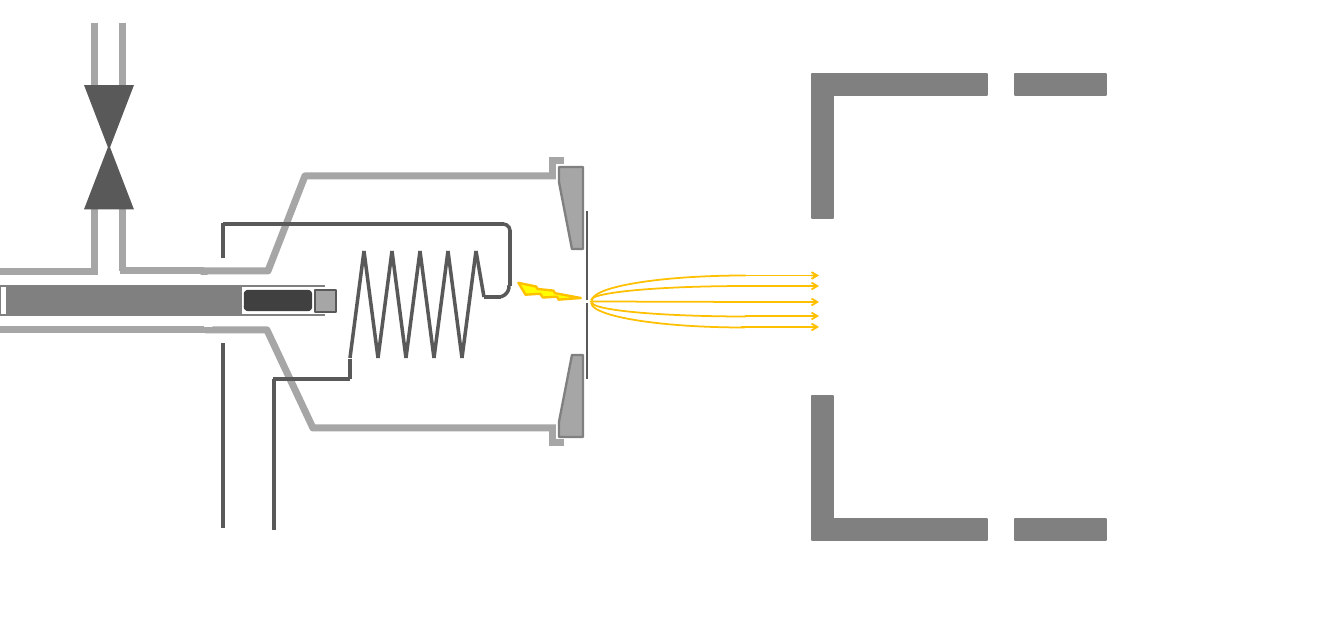
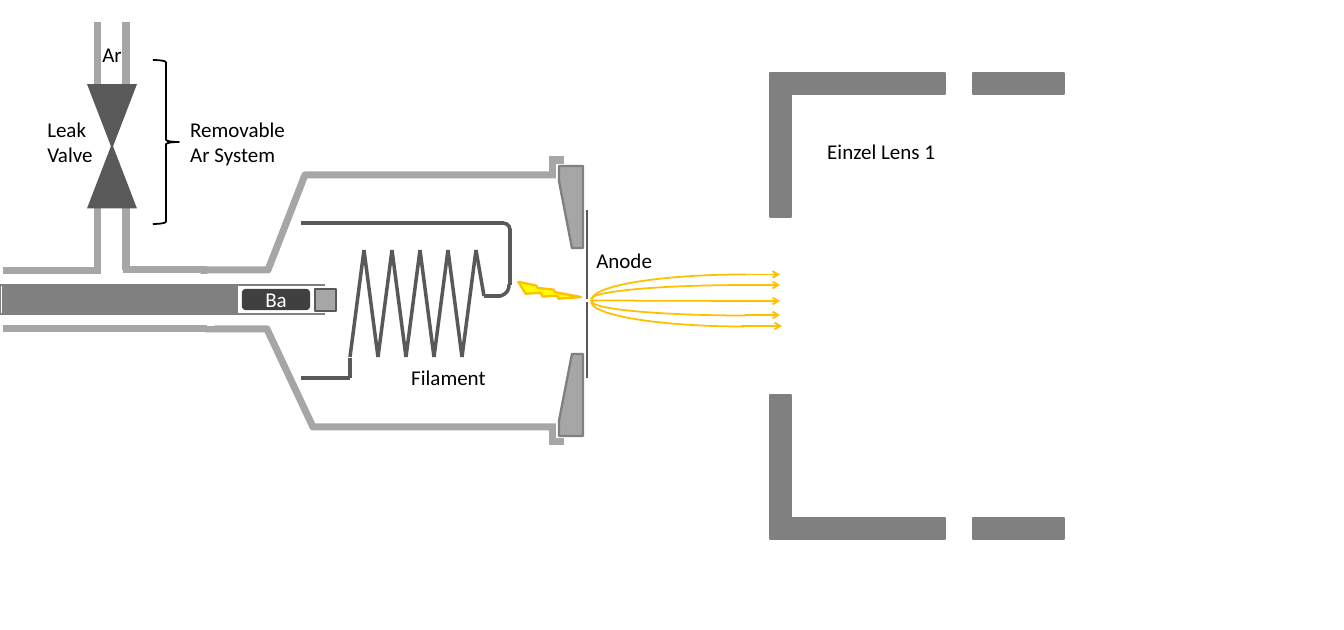
from dataclasses import dataclass

from lxml.etree import SubElement
from pptx import Presentation
from pptx.dml.color import RGBColor
from pptx.enum.shapes import MSO_CONNECTOR, MSO_SHAPE
from pptx.enum.text import MSO_AUTO_SIZE
from pptx.oxml.ns import qn
from pptx.util import Pt

EMU_PER_PIXEL = 914400 / 84


def emu(pixels):
    return round(pixels * EMU_PER_PIXEL)


@dataclass(frozen=True)
class Theme:
    white: str = "FFFFFF"
    black: str = "000000"
    wall: str = "A6A6A6"
    metal: str = "808080"
    wire: str = "595959"
    capsule: str = "404040"
    beam: str = "FFC000"
    spark: str = "FFFF00"
    font: str = "Calibri"
    label_size: float = 18
    wall_width: float = 6
    wire_width: float = 3
    plate_width: float = 2.25
    edge_width: float = 2
    beam_width: float = 1.5


THEME = Theme()
WALL = (THEME.wall, THEME.wall_width)
WIRE = (THEME.wire, THEME.wire_width)
PLATE = (THEME.wire, THEME.plate_width)
GAP = (THEME.white, THEME.plate_width)
BLANK_EDGE = (THEME.white, THEME.edge_width)
METAL_EDGE = (THEME.metal, THEME.edge_width)
BEAM = (THEME.beam, THEME.beam_width)


def color(value):
    return RGBColor.from_string(value)


@dataclass
class Region:
    """Draws parts relative to its left top corner, in pixels."""
    slide: object
    left: float
    top: float

    def style(self, shape, fill, line):
        shape.shadow.inherit = False
        if fill:
            shape.fill.solid()
            shape.fill.fore_color.rgb = color(fill)
        else:
            shape.fill.background()
        if line:
            shape.line.color.rgb = color(line[0])
            shape.line.width = Pt(line[1])
        else:
            shape.line.fill.background()

    def shape(self, kind, box, fill=None, line=None, rotation=0, flip=False):
        left, top, width, height = box
        shape = self.slide.shapes.add_shape(
            kind, emu(self.left + left), emu(self.top + top), emu(width), emu(height))
        self.style(shape, fill, line)
        shape.rotation = rotation
        if flip:
            shape.element.spPr.find(qn("a:xfrm")).set("flipV", "1")
        return shape

    def outline(self, points, fill=None, line=None):
        placed = [(self.left + x, self.top + y) for x, y in points]
        builder = self.slide.shapes.build_freeform(*placed[0], scale=EMU_PER_PIXEL)
        builder.add_line_segments(placed[1:], close=True)
        self.style(builder.convert_to_shape(), fill, line)

    def line(self, start, end, style, arrow=False):
        connector = self.slide.shapes.add_connector(
            MSO_CONNECTOR.STRAIGHT,
            emu(self.left + start[0]), emu(self.top + start[1]),
            emu(self.left + end[0]), emu(self.top + end[1]))
        connector.line.color.rgb = color(style[0])
        connector.line.width = Pt(style[1])
        if arrow:
            SubElement(connector.line._get_or_add_ln(), qn("a:tailEnd"), type="arrow")
        SubElement(connector.element.spPr, qn("a:effectLst"))

    def label(self, lines, box, ink=THEME.black, wrap=False):
        left, top, width, height = box
        text_box = self.slide.shapes.add_textbox(
            emu(self.left + left), emu(self.top + top), emu(width), emu(height))
        frame = text_box.text_frame
        frame.word_wrap = wrap
        frame.auto_size = MSO_AUTO_SIZE.SHAPE_TO_FIT_TEXT
        for index, text in enumerate(lines):
            paragraph = frame.add_paragraph() if index else frame.paragraphs[0]
            run = paragraph.add_run()
            run.text = text
            run.font.name = THEME.font
            run.font.size = Pt(THEME.label_size)
            run.font.color.rgb = color(ink)


def draw_vessel(region, inlet_mask):
    # Wall, opened at the inlet and at the front
    region.outline([(0, 111), (64, 111), (101, 16), (379, 16), (379, 268),
                    (109, 268), (63, 170), (2, 170)], line=WALL)
    region.shape(MSO_SHAPE.RECTANGLE, (inlet_mask, 116, 15, 50), THEME.white, BLANK_EDGE)
    region.shape(MSO_SHAPE.RECTANGLE, (353, 1, 35, 282), THEME.white, BLANK_EDGE)


def draw_filament(region, upper_lead, lower_lead):
    # Leads and rounded end
    region.line((upper_lead, 0), (154, 0), WIRE)
    region.line((160, 62), (160, 6), WIRE)
    region.line((151, 73), (134, 73), WIRE)
    region.line((0, 155), (lower_lead, 155), WIRE)
    region.line((0, 155), (0, 135), WIRE)
    region.shape(MSO_SHAPE.ARC, (146, 0, 14, 13), line=WIRE)
    region.shape(MSO_SHAPE.ARC, (138, 52, 21, 21), line=WIRE, rotation=84.6)
    # Coil
    turns, pitch, crest, trough = 5, 28, 27, 134
    for turn in range(turns):
        bottom = turn * pitch
        peak = bottom + pitch / 2
        region.line((peak, crest), (bottom, trough), WIRE)
        if turn < turns - 1:
            region.line((peak, crest), (bottom + pitch, trough), WIRE)
    region.line((134, 73), (126, crest), WIRE)


def draw_supply(region):
    region.line((51, 306), (51, 155), WIRE)
    region.line((0, 34), (0, -1), WIRE)
    region.line((0, 304), (0, 119), WIRE)


def draw_anode(region):
    height = 284
    region.line((38, 51), (38, 219), PLATE)
    # Electrode and clip, mirrored above and below the axis
    electrode = [(10, 22), (10, 7), (34, 7), (34, 89), (23, 89)]
    for mirror in (lambda y: y, lambda y: height - y):
        region.outline([(x, mirror(y)) for x, y in electrode], THEME.wall, METAL_EDGE)
        region.line((4, mirror(1)), (4, mirror(16)), WALL)
        region.line((15, mirror(1)), (0, mirror(1)), WALL)
    # Aperture
    region.line((49, 141.5), (24, 141.5), GAP)


def draw_oven(region, rod_left, capsule_left):
    region.shape(MSO_SHAPE.RECTANGLE, (0, 0, 326, 29), THEME.white, METAL_EDGE)
    region.shape(MSO_SHAPE.ROUNDED_RECTANGLE, (capsule_left, 5, 66, 19),
                 THEME.capsule, (THEME.capsule, THEME.edge_width))
    region.line((326, -6), (326, 39), GAP)
    region.shape(MSO_SHAPE.RECTANGLE, (315, 4, 21, 22), THEME.wall,
                 (THEME.wire, THEME.edge_width))
    region.shape(MSO_SHAPE.RECTANGLE, (rod_left, 0.5, 234, 28.5), THEME.metal, METAL_EDGE)


def draw_beam(region, tip, last_tip):
    # Discharge
    region.shape(MSO_SHAPE.LIGHTNING_BOLT, (-52, -13, 20, 63), THEME.spark,
                 (THEME.beam, THEME.edge_width), rotation=294.6)
    # Diverging rays
    for left, top, height, flip in ((1, 2, 50, False), (2, 0, 50, True),
                                    (1, 10.5, 28, True), (2, 13, 28, False)):
        region.shape(MSO_SHAPE.ARC, (left, top, 307, height), line=BEAM,
                     rotation=180, flip=flip)
    region.line((0, 26), (153, 26.5), BEAM)
    # Parallel rays
    for start, height, end in ((151, 26.5, tip), (151, 10.5, tip), (155, 0, tip),
                               (155, 40.5, tip), (151, 51.5, last_tip)):
        region.line((start, height), (end, height), BEAM, arrow=True)


def draw_lens(region):
    height, thickness = 466, 21
    for left, width, depth in ((0, thickness, 144), (12, 163, thickness),
                               (203, 91, thickness)):
        for top in (0, height - depth):
            region.shape(MSO_SHAPE.RECTANGLE, (left, top, width, depth),
                         THEME.metal, METAL_EDGE)


def draw_gas_line(region):
    # Pipes below the valve
    region.line((123, 186), (123, 248), WALL)
    region.line((204, 248), (120, 248), WALL)
    region.line((204, 307), (0, 307), WALL)
    region.line((98, 249), (0, 249), WALL)
    region.line((95, 186), (95, 250), WALL)
    # Valve and pipes above it
    region.shape(MSO_SHAPE.ISOSCELES_TRIANGLE, (84, 121.5, 50, 65), THEME.wire)
    region.line((123, 0), (123, 72), WALL)
    region.line((95, 0), (95, 64), WALL)
    region.shape(MSO_SHAPE.ISOSCELES_TRIANGLE, (84, 62, 50, 65), THEME.wire, rotation=180)


def draw_labels(region):
    region.shape(MSO_SHAPE.RIGHT_BRACE, (153, 60, 26, 164),
                 line=(THEME.black, THEME.beam_width))
    region.label(["Removable Ar System"], (182, 112, 126, 60), wrap=True)
    region.label(["Ar"], (94, 37, 37, 34))
    region.label(["Leak", "Valve"], (39, 112, 63, 60))
    region.label(["Ba"], (257, 282, 39, 34), ink=THEME.white)
    region.label(["Einzel Lens 1"], (819, 134, 126, 34))
    region.label(["Anode"], (588, 243, 73, 34))
    region.label(["Filament"], (403, 360, 92, 34))


def draw_source(presentation, rise=0, gas_left=0, inlet_mask=-7, leads=(-127, -77),
                rod_left=7, capsule_left=245, tips=(229, 229), lens_left=812):
    slide = presentation.slides.add_slide(presentation.slide_layouts[6])

    def region(left, top):
        return Region(slide, left, top - rise)

    draw_vessel(region(204, 160), inlet_mask)
    draw_filament(region(350, 224), *leads)
    draw_anode(region(549, 160))
    draw_oven(region(0, 286), rod_left, capsule_left)
    draw_beam(region(590, 275.5), *tips)
    draw_lens(region(lens_left, 74))
    draw_gas_line(region(gas_left, 23))
    return slide


presentation = Presentation()
presentation.slide_width = emu(1344)
presentation.slide_height = emu(630)

# Slide 1: source with filament supply
supplied = draw_source(presentation)
draw_supply(Region(supplied, 223, 224))

# Slide 2: labelled source
labelled = draw_source(presentation, rise=1, gas_left=3, inlet_mask=-5, leads=(-49, -49),
                       rod_left=3, capsule_left=243, tips=(190, 192), lens_left=770)
draw_labels(Region(labelled, 0, 0))

presentation.save("out.pptx")
